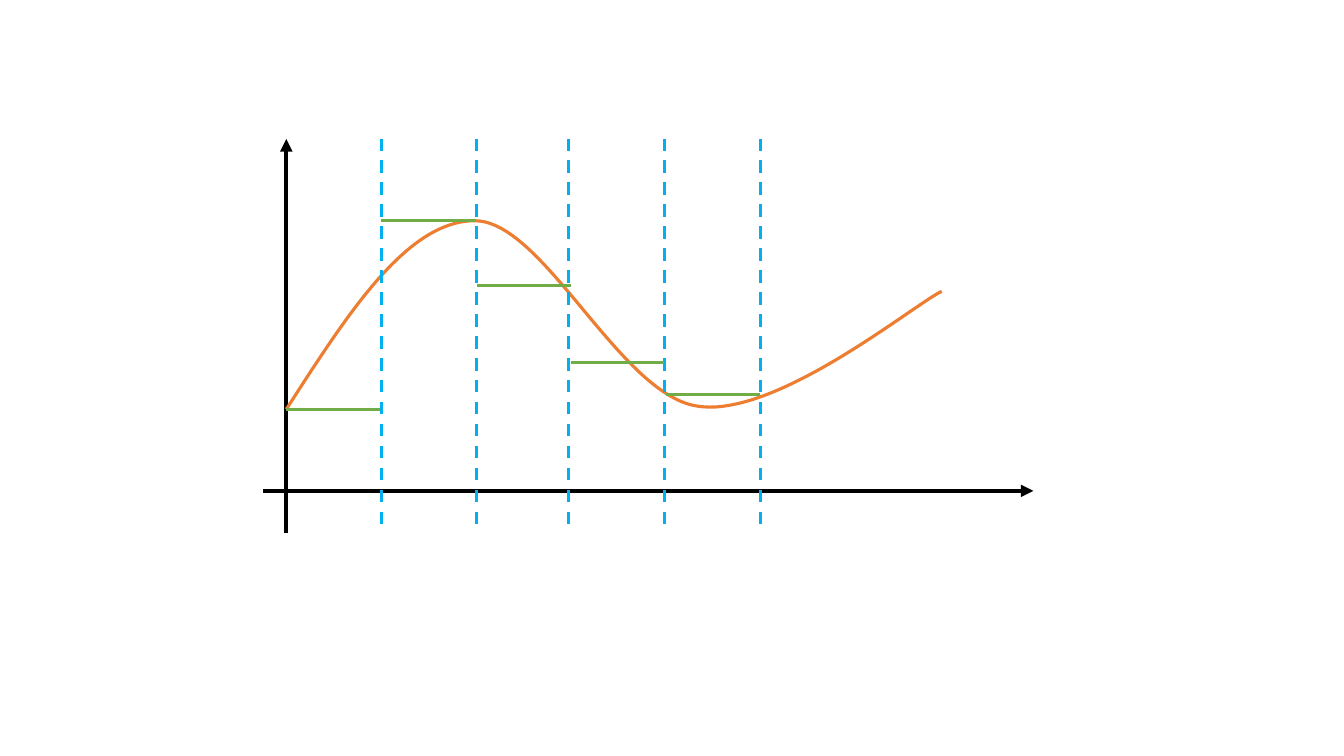
import pptx
import pptx.dml.color
import pptx.enum.dml
import pptx.enum.shapes
import pptx.oxml
import pptx.oxml.ns
import pptx.util
from pptx.util import Inches

BLACK = pptx.dml.color.RGBColor(0x00, 0x00, 0x00)
ORANGE = pptx.dml.color.RGBColor(0xED, 0x7D, 0x31)
BLUE = pptx.dml.color.RGBColor(0x00, 0xB0, 0xF0)
GREEN = pptx.dml.color.RGBColor(0x70, 0xAD, 0x47)

ORIGIN_X, AXIS_Y = 2.84, 4.87
TOP, DIVIDER_BOTTOM = 1.38, 5.2
STEP_WIDTH = 0.93

# Each interval: divider x, step start x, step height
INTERVALS = [
    (3.78, 2.84, 4.06),
    (4.73, 3.78, 2.19),
    (5.64, 4.73, 2.83),
    (6.59, 5.66, 3.6),
    (7.54, 6.61, 3.91),
]

# Cubic Bezier segments: two control points and an end point
CURVE_START = (2.84, 4.06)
CURVE_SEGMENTS = [
    ((3.44, 3.13), (4.03, 2.19), (4.71, 2.19)),
    ((5.39, 2.19), (6.15, 3.92), (6.92, 4.03)),
    ((7.69, 4.15), (9.04, 3.04), (9.34, 2.89)),
]
SAMPLES = 40


def add_line(slide, start, end, color, width=2.25):
    line = slide.shapes.add_connector(
        pptx.enum.shapes.MSO_CONNECTOR.STRAIGHT,
        *(Inches(value) for value in (*start, *end)))
    line.line.color.rgb = color
    line.line.width = pptx.util.Pt(width)
    line._element.spPr.append(pptx.oxml.parse_xml(
        f'<a:effectLst {pptx.oxml.ns.nsdecls("a")}/>'))
    return line


def add_axis(slide, start, end):
    axis = add_line(slide, start, end, BLACK, 3)
    axis.line._get_or_add_ln().append(pptx.oxml.parse_xml(
        f'<a:tailEnd {pptx.oxml.ns.nsdecls("a")} type="triangle"/>'))


def add_divider(slide, x):
    divider = add_line(slide, (x, DIVIDER_BOTTOM), (x, TOP), BLUE)
    divider.line.dash_style = pptx.enum.dml.MSO_LINE.DASH


def bezier_point(points, t):
    weights = ((1 - t) ** 3, 3 * t * (1 - t) ** 2, 3 * t ** 2 * (1 - t), t ** 3)
    return tuple(Inches(sum(w * p[axis] for w, p in zip(weights, points)))
                 for axis in (0, 1))


def add_curve(slide):
    vertices = []
    start = CURVE_START
    for segment in CURVE_SEGMENTS:
        vertices += [bezier_point((start, *segment), i / SAMPLES)
                     for i in range(1, SAMPLES + 1)]
        start = segment[-1]
    builder = slide.shapes.build_freeform(
        *(Inches(value) for value in CURVE_START))
    builder.add_line_segments(vertices, close=False)
    curve = builder.convert_to_shape()
    curve.shadow.inherit = False
    curve.fill.background()
    curve.line.color.rgb = ORANGE
    curve.line.width = pptx.util.Pt(2.25)


def main():
    deck = pptx.Presentation()
    deck.slide_width, deck.slide_height = Inches(13.33), Inches(7.5)
    slide = deck.slides.add_slide(deck.slide_layouts[6])

    # Axes
    add_axis(slide, (ORIGIN_X, 5.29), (ORIGIN_X, TOP))
    add_axis(slide, (2.61, AXIS_Y), (10.25, AXIS_Y))

    # Function curve
    add_curve(slide)

    # Interval dividers with their step levels
    for divider_x, step_x, level in INTERVALS:
        add_divider(slide, divider_x)
        add_line(slide, (step_x, level), (step_x + STEP_WIDTH, level), GREEN)

    deck.save("out.pptx")


if __name__ == "__main__":
    main()
